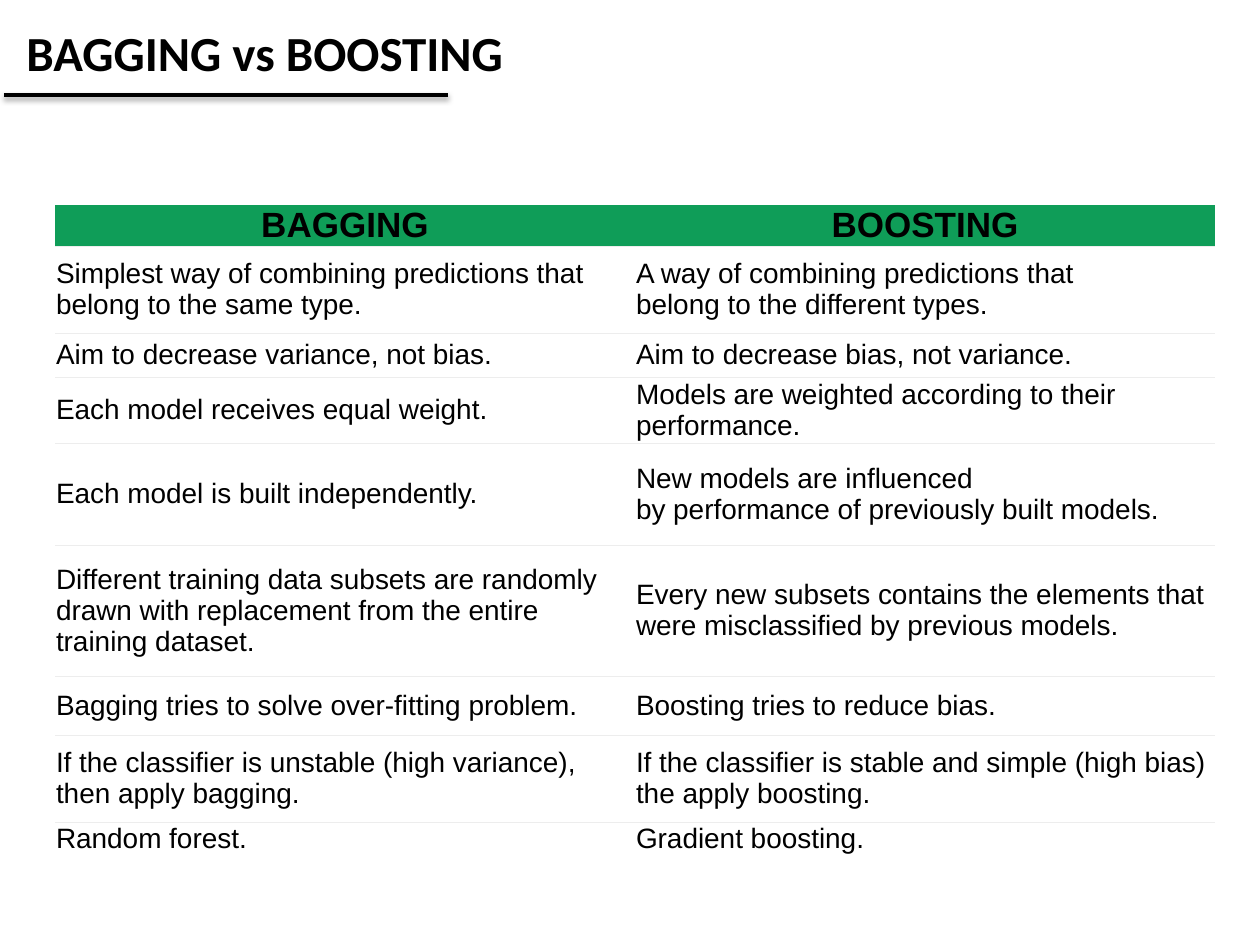
from copy import deepcopy

from lxml import etree
from pptx import Presentation
from pptx.dml.color import RGBColor
from pptx.enum.shapes import MSO_CONNECTOR
from pptx.enum.text import MSO_ANCHOR, MSO_AUTO_SIZE, PP_ALIGN
from pptx.oxml.ns import qn
from pptx.util import Emu, Pt

LEFT, CENTER = PP_ALIGN.LEFT, PP_ALIGN.CENTER
MIDDLE = MSO_ANCHOR.MIDDLE
STRAIGHT = MSO_CONNECTOR.STRAIGHT
FIT_SHAPE = MSO_AUTO_SIZE.SHAPE_TO_FIT_TEXT

PX_PER_INCH = 126
BLACK = RGBColor(0x00, 0x00, 0x00)
WHITE = RGBColor(0xFF, 0xFF, 0xFF)
GREEN = RGBColor(0x0F, 0x9D, 0x58)
RULE_GREY = RGBColor(0xED, 0xED, 0xED)
NO_GRID_STYLE = "{2D5ABB26-0587-4C30-8999-92F81FD0307C}"

# Row height in px, then the two cells; \v is a line break
ROWS = [
    (16, "BAGGING", "BOOSTING"),
    (87, "Simplest way of combining predictions that\vbelong to the same type.",
     "A way of combining predictions that\vbelong to the different types."),
    (44, "Aim to decrease variance, not bias.",
     "Aim to decrease bias, not variance."),
    (66, "Each model receives equal weight.",
     "Models are weighted according to their performance."),
    (102, "Each model is built independently.",
     "New models are influenced\vby performance of previously built models."),
    (131, "Different training data subsets are randomly drawn with replacement "
     "from the entire training dataset.",
     "Every new subsets contains the elements that were misclassified by "
     "previous models."),
    (59, "Bagging tries to solve over-fitting problem.",
     "Boosting tries to reduce bias."),
    (87, "If the classifier is unstable (high variance), then apply bagging.",
     "If the classifier is stable and simple (high bias) the apply boosting."),
    (30, "Random forest.", "Gradient boosting."),
]


def px(length):
    return Emu(round(length * 914400 / PX_PER_INCH))


def write_text(frame, text, *, size, font="Arial", color=BLACK, bold=False,
               align=LEFT):
    para = frame.paragraphs[0]
    para.text = text
    para.alignment = align
    for span in para.runs:
        span.font.size = Pt(size)
        span.font.name = font
        span.font.bold = bold
        span.font.color.rgb = color
    # Line breaks take the format of the text around them
    for line_break in para._p.findall(qn("a:br")):
        line_break.append(deepcopy(para.runs[0]._r.rPr))


def add_title(page, text):
    box = page.shapes.add_textbox(px(14), px(16), px(508), px(72))
    box.text_frame.word_wrap = False
    box.text_frame.auto_size = FIT_SHAPE
    write_text(box.text_frame, text, size=28, font="Calibri", bold=True)


def add_underline(page, left, right, y):
    line = page.shapes.add_connector(STRAIGHT, px(left), px(y), px(right), px(y))
    line.line.color.rgb = BLACK
    line.line.width = Pt(2.25)
    # Soft shadow straight below the line
    effects = etree.SubElement(line._element.spPr, qn("a:effectLst"))
    shadow = etree.SubElement(effects, qn("a:outerShdw"), blurRad=str(Pt(3.1)),
                              dist=str(Pt(1.8)), dir="5400000", rotWithShape="0")
    tint = etree.SubElement(shadow, qn("a:srgbClr"), val=str(BLACK))
    etree.SubElement(tint, qn("a:alpha"), val="35000")


def add_border(cell, side):
    border = etree.SubElement(cell._tc.get_or_add_tcPr(), qn(f"a:{side}"),
                              w=str(Pt(0.38)))
    fill = etree.SubElement(border, qn("a:solidFill"))
    etree.SubElement(fill, qn("a:srgbClr"), val=str(RULE_GREY))


def format_cell(cell, text, *, header, last):
    cell.margin_left = cell.margin_right = px(1)
    cell.margin_top = cell.margin_bottom = px(1)
    cell.vertical_anchor = MIDDLE
    # Borders come before the fill in the cell properties
    if not header:
        add_border(cell, "lnT")
    if not last:
        add_border(cell, "lnB")
    cell.fill.solid()
    cell.fill.fore_color.rgb = GREEN if header else WHITE
    write_text(cell.text_frame, text, size=20 if header else 16, bold=header,
               align=CENTER if header else LEFT)


def add_comparison(page):
    frame = page.shapes.add_table(len(ROWS), 2, px(55), px(205), px(1160), px(659))
    table = frame.table
    table.first_row = table.horz_banding = False
    table._tbl.tblPr.find(qn("a:tableStyleId")).text = NO_GRID_STYLE
    for index, (height, *texts) in enumerate(ROWS):
        table.rows[index].height = px(height)
        for column, text in enumerate(texts):
            format_cell(table.cell(index, column), text, header=index == 0,
                        last=index == len(ROWS) - 1)
    # Leave room for the header row, which grows to fit its text
    frame.height = px(659)


def main():
    deck = Presentation()
    deck.slide_width, deck.slide_height = px(1260), px(945)
    page = deck.slides.add_slide(deck.slide_layouts[6])
    add_comparison(page)
    add_underline(page, 4, 448, 95)
    add_title(page, "BAGGING vs BOOSTING")
    deck.save("out.pptx")


if __name__ == "__main__":
    main()
